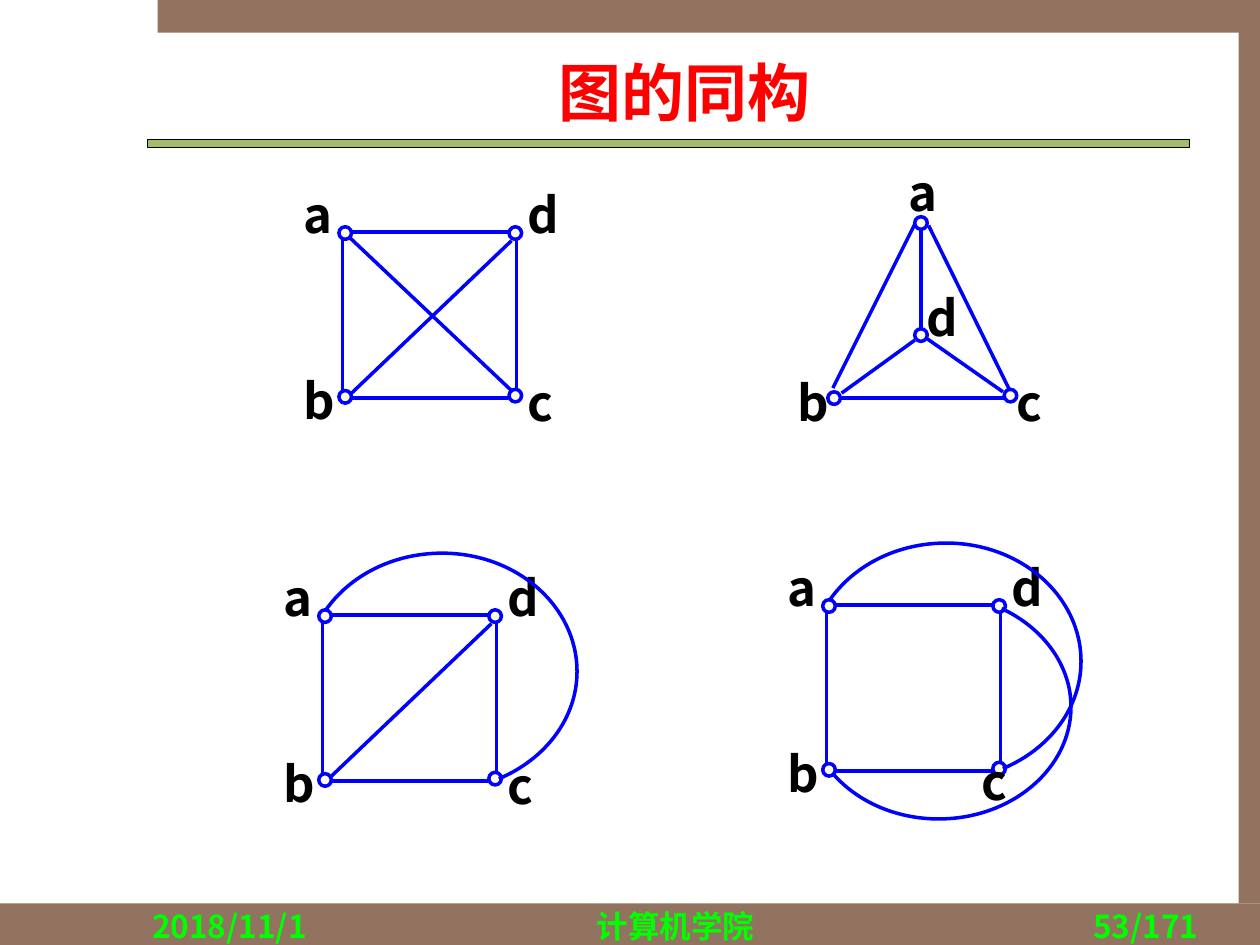
from lxml.etree import SubElement
from pptx import Presentation
from pptx.dml.color import RGBColor as Rgb
from pptx.enum.shapes import MSO_CONNECTOR as Link, MSO_SHAPE as Kind
from pptx.enum.text import MSO_ANCHOR as Anchor, PP_ALIGN as Align
from pptx.oxml.ns import qn
from pptx.util import Inches, Pt

COLORS = {
    "brown": "91735F", "green": "A1BD69", "black": "000000", "lime": "00FF00",
    "red": "FF0000", "blue": "0000FF", "cream": "FEFDE3",
}
NOTO = "Noto Sans CJK SC"
RADIUS = 0.05

SQUARE = {"a": (0, 0), "b": (0, 1.3), "c": (1.35, 1.29), "d": (1.35, 0)}
CORNERS = {"a": (-0.33, -0.48), "b": (-0.33, -0.3), "c": (0.1, -0.28), "d": (0.1, -0.48)}
KITE = {"a": (0, 0), "b": (-0.69, 1.39), "c": (0.71, 1.37), "d": (0, 0.89)}
TIPS = {"a": (-0.1, -0.57), "b": (-0.29, -0.3), "c": (0.05, -0.28), "d": (0.04, -0.47)}

RING = [(0.05, 1.31, 1.29, 1.31), (-0.02, 1.26, -0.02, 0.05),
        (1.36, 1.26, 1.36, 0.05), (0.05, -0.01, 1.29, -0.01)]
RISE = (1.32, 0.06, 0.04, 1.28)
FALL = (0.04, 0.04, 1.33, 1.26)
SPOKES = [(-0.63, 1.39, 0.69, 1.39), (0.06, 0.02, 0.7, 1.32),
          (-0.7, 1.31, -0.05, 0.01), (0, 0.03, 0, 0.86),
          (-0.05, 0.93, -0.63, 1.35), (0.05, 0.92, 0.65, 1.34)]
OUTER = [(1.38, 1.29), (1.76, 1.13), (2, 0.8), (2, 0.44), (2, -0.08),
         (1.52, -0.5), (0.93, -0.5), (0.55, -0.5), (0.2, -0.33), (0, -0.04)]
LOWER = [(1.37, 0.02), (1.71, 0.18), (1.92, 0.48), (1.92, 0.8), (1.92, 1.29),
         (1.45, 1.69), (0.87, 1.69), (0.54, 1.69), (0.23, 1.56), (0.03, 1.33)]

GRAPHS = [
    ((2.74, 1.85), SQUARE, CORNERS, RING + [RISE, FALL], []),
    ((7.31, 1.77), KITE, TIPS, SPOKES, []),
    ((2.58, 4.89), SQUARE, CORNERS, RING + [RISE], [OUTER]),
    ((6.58, 4.81), SQUARE, CORNERS | {"c": (-0.14, -0.23)}, RING, [OUTER, LOWER]),
]


def color(name):
    """Return the named colour."""
    return Rgb.from_string(COLORS[name])


def stroke(shape, name="blue", width=2):
    """Set the outline of a shape or line."""
    shape.line.color.rgb = color(name)
    shape.line.width = Pt(width)


def solid(page, kind, box, fill):
    """Add a filled preset shape without outline."""
    shape = page.shapes.add_shape(kind, *map(Inches, box))
    shape.shadow.inherit = False
    shape.fill.solid()
    shape.fill.fore_color.rgb = color(fill)
    shape.line.fill.background()
    return shape


def write(page, box, text, size, tint, align=Align.LEFT, font=NOTO):
    """Add one bold line of text and return its frame."""
    frame = page.shapes.add_textbox(*map(Inches, box)).text_frame
    frame.word_wrap = True
    para = frame.paragraphs[0]
    para.alignment = align
    run = para.add_run()
    run.text = text
    run.font.name = font
    run.font.size = Pt(size)
    run.font.bold = True
    run.font.color.rgb = color(tint)
    SubElement(run._r.get_or_add_rPr(), qn("a:ea")).set("typeface", NOTO)
    return frame


def edge(page, left, top, ends):
    """Draw a straight edge relative to the given corner."""
    x1, y1, x2, y2 = ends
    spots = (left + x1, top + y1, left + x2, top + y2)
    line = page.shapes.add_connector(Link.STRAIGHT, *map(Inches, spots))
    stroke(line)
    SubElement(line._element.spPr, qn("a:effectLst"))


def curve(page, left, top, knots):
    """Draw an open curve of cubic pieces through every third knot."""
    dots = [(Inches(left + x), Inches(top + y)) for x, y in knots]
    pen = page.shapes.build_freeform(*dots[0])
    pen.add_line_segments(dots[1:], close=False)
    shape = pen.convert_to_shape()
    trace = next(shape._element.iter(qn("a:path")))
    legs = trace.findall(qn("a:lnTo"))
    for i in range(0, len(legs), 3):
        bend = SubElement(trace, qn("a:cubicBezTo"))
        for leg in legs[i:i + 3]:
            bend.append(leg[0])
            trace.remove(leg)
    shape.shadow.inherit = False
    shape.fill.background()
    stroke(shape)


def graph(slide, origin, nodes, tags, edges, arcs):
    """Draw a grouped graph with its node a at the origin."""
    left, top = origin
    group = slide.shapes.add_group_shape()
    for ends in edges:
        edge(group, left, top, ends)
    for x, y in nodes.values():
        box = (left + x - RADIUS, top + y - RADIUS, 2 * RADIUS, 2 * RADIUS)
        stroke(solid(group, Kind.OVAL, box, "cream"))
    for name, (x, y) in nodes.items():
        dx, dy = tags[name]
        box = (left + x + dx, top + y + dy, 0.24, 0.56)
        frame = write(group, box, name, 28, "black")
        frame.margin_left = frame.margin_right = 0
        frame.margin_top = frame.margin_bottom = 0
        frame.paragraphs[0].line_spacing = 1.2
    for knots in arcs:
        curve(group, left, top, knots)


def border(slide, wide, high):
    """Draw the brown bands around the page."""
    for box in [(0, high - 0.33, wide, 0.33), (1.25, 0, wide - 1.25, 0.26),
                (wide - 0.17, 0.25, 0.17, high - 0.58)]:
        solid(slide, Kind.RECTANGLE, box, "brown")


def header(slide, left, top, wide):
    """Place the title above its green rule."""
    rule = solid(slide, Kind.RECTANGLE, (left, top + 0.78, wide, 0.06), "green")
    stroke(rule, "black", 0.75)
    box = (left + 0.25, top, wide - 0.25, 0.79)
    frame = write(slide, box, "图的同构", 36, "red", Align.CENTER, "Times New Roman")
    frame.vertical_anchor = Anchor.MIDDLE


def footer(slide, left, top):
    """Place the date, school and page number in a row."""
    for text, wide, align in [("2018/11/1", 2.08, Align.LEFT),
                              ("计算机学院", 4.34, Align.CENTER),
                              ("53/171", 2.08, Align.RIGHT)]:
        write(slide, (left, top, wide, 0.18), text, 18, "lime", align)
        left += wide


def main():
    """Build and save the slide."""
    deck = Presentation()
    deck.slide_width, deck.slide_height = Inches(10), Inches(7.5)
    slide = deck.slides.add_slide(deck.slide_layouts[6])
    border(slide, 10, 7.5)
    header(slide, 1.17, 0.33, 8.27)
    footer(slide, 1.11, 7.15)
    for item in GRAPHS:
        graph(slide, *item)
    deck.save("out.pptx")


if __name__ == "__main__":
    main()
